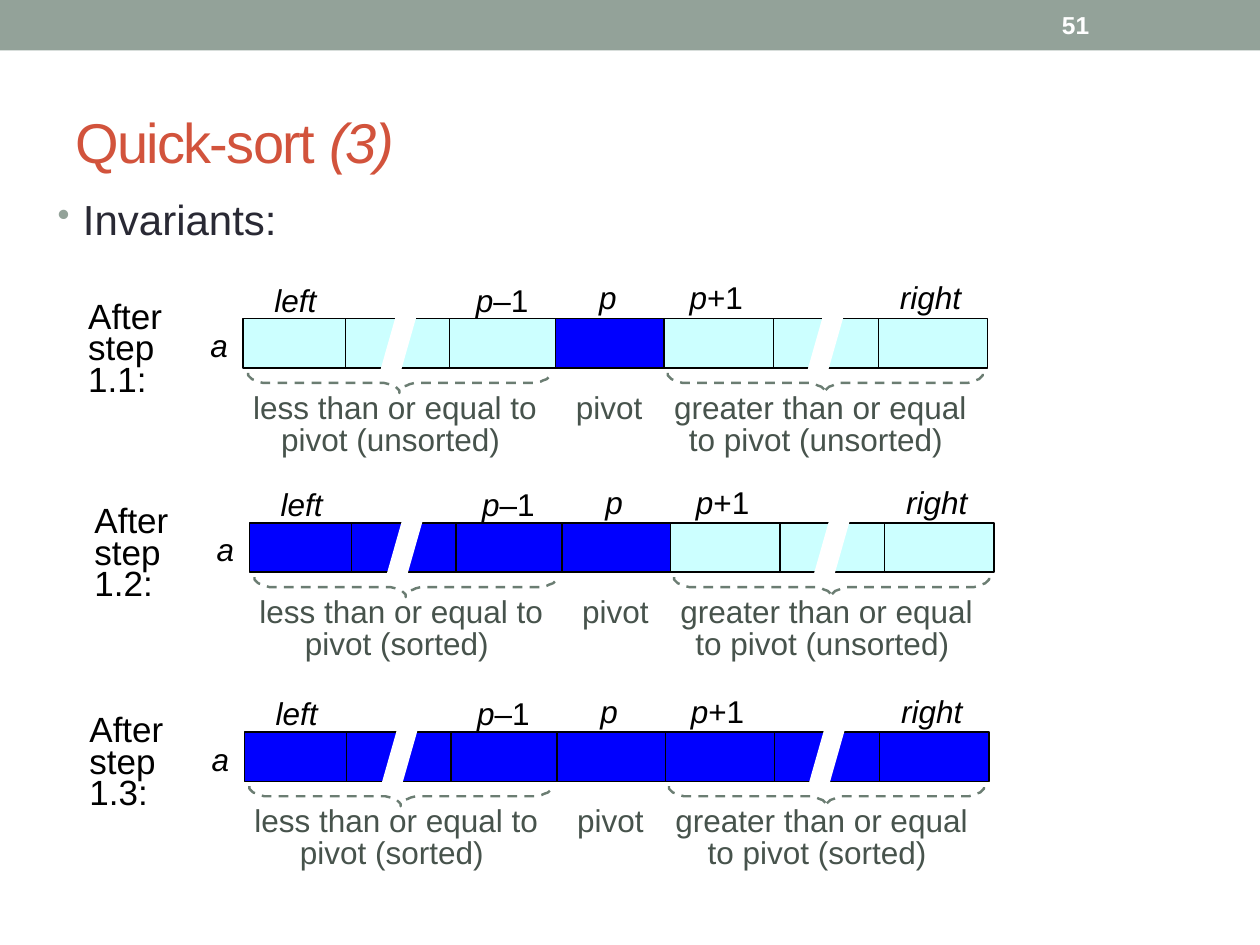
from dataclasses import dataclass

from lxml import etree
from pptx import Presentation
from pptx.dml.color import RGBColor
from pptx.enum.dml import MSO_LINE
from pptx.enum.shapes import MSO_SHAPE
from pptx.enum.text import MSO_ANCHOR, PP_ALIGN
from pptx.oxml.ns import qn
from pptx.util import Inches, Pt


@dataclass(frozen=True)
class Theme:
    font: str = "Arial"
    band: str = "93A299"
    title: str = "D2533C"
    body: str = "292934"
    ink: str = "000000"
    caption: str = "47534C"
    brace: str = "6B7D72"
    white: str = "FFFFFF"
    unsorted: str = "CCFFFF"
    sorted: str = "0000FF"
    title_size: int = 32
    body_size: int = 24
    step_size: int = 20
    label_size: int = 18
    number_size: int = 14
    leading: int = 18


T = Theme()

# Offsets from the top-left corner of an array, in inches
CELL_W, CELL_H = 0.87, 0.39
CELL_X = {"left": 0, "gap1": 0.81, "p-1": 1.64, "p": 2.48,
          "gap2": 4.2, "right": 5.04, "p+1": 3.34}
LABELS = [
    ("left", -0.3, [("left", True)]),
    ("p-1", -0.3, [("p", True), ("–1", False)]),
    ("p", -0.32, [("p", True)]),
    ("p+1", -0.32, [("p", True), ("+1", False)]),
    ("right", -0.32, [("right", True)]),
]
# One rounded corner of a brace; the rest follows by symmetry
CORNER = [(0, 0), (0, 0.02), (0.01, 0.03), (0.03, 0.05), (0.06, 0.06),
          (0.08, 0.07), (0.12, 0.08), (0.16, 0.08), (0.2, 0.08)]
BRACE_H = 0.16


def rgb(value):
    return RGBColor.from_string(value)


def add_text(s, runs, x, y, w, h, *, size=T.label_size, color=T.ink, bold=False,
             align=PP_ALIGN.LEFT, anchor=MSO_ANCHOR.TOP, margins=(0, 0),
             leading=None, wrap=True, spacing=None, bullet=None):
    """Place one paragraph; runs is a list of (text, italic)."""
    tf = s.shapes.add_textbox(Inches(x), Inches(y), Inches(w), Inches(h)).text_frame
    tf.word_wrap = wrap
    tf.vertical_anchor = anchor
    tf.margin_left = tf.margin_right = Inches(margins[0])
    tf.margin_top = tf.margin_bottom = Inches(margins[1])
    p = tf.paragraphs[0]
    p.alignment = align
    if leading:
        p.line_spacing = Pt(leading)
    if bullet:
        add_bullet(p, bullet)
    for text, italic in runs:
        r = p.add_run()
        r.text = text
        font = r.font
        font.name, font.size = T.font, Pt(size)
        font.bold, font.italic = bold, italic
        font.color.rgb = rgb(color)
        if spacing:
            r._r.get_or_add_rPr().set("spc", str(spacing))


def add_bullet(p, char):
    pPr = p._p.get_or_add_pPr()
    pPr.set("marL", str(Inches(0.2)))
    pPr.set("indent", str(Inches(-0.2)))
    color = etree.SubElement(pPr, qn("a:buClr"))
    etree.SubElement(color, qn("a:srgbClr")).set("val", T.band)
    etree.SubElement(pPr, qn("a:buSzPct")).set("val", "85000")
    etree.SubElement(pPr, qn("a:buChar")).set("char", char)


def add_rect(s, x, y, w, h, fill, outline=None):
    sp = s.shapes.add_shape(MSO_SHAPE.RECTANGLE, Inches(x), Inches(y),
                            Inches(w), Inches(h))
    sp.shadow.inherit = False
    sp.fill.solid()
    sp.fill.fore_color.rgb = rgb(fill)
    if outline:
        sp.line.color.rgb = rgb(outline)
        sp.line.width = Pt(0.75)
    else:
        sp.line.fill.background()


def add_outline(s, points, closed):
    pts = [(Inches(x), Inches(y)) for x, y in points]
    builder = s.shapes.build_freeform(*pts[0])
    builder.add_line_segments(pts[1:], close=closed)
    sp = builder.convert_to_shape()
    sp.shadow.inherit = False
    return sp


def add_slash(s, x, y, w=0.33, h=0.58):
    """White slanted cut that marks omitted cells."""
    sp = add_outline(s, [(x + w / 2, y), (x + w, y), (x + w / 2, y + h), (x, y + h)], True)
    sp.fill.solid()
    sp.fill.fore_color.rgb = rgb(T.white)
    sp.line.fill.background()


def add_brace(s, x, y, w):
    tip = [(w / 2 - dx, BRACE_H - dy) for dx, dy in reversed(CORNER)]
    half = CORNER + tip
    mirrored = [(w - dx, dy) for dx, dy in reversed(half[:-1])]
    sp = add_outline(s, [(x + dx, y + dy) for dx, dy in half + mirrored], False)
    sp.fill.background()
    sp.line.color.rgb = rgb(T.brace)
    sp.line.width = Pt(1.38)
    sp.line.dash_style = MSO_LINE.DASH


def add_header(s, number):
    add_rect(s, 0, 0, 10, 0.4, T.band)
    add_text(s, [(number, False)], 8.33, 0.02, 1.17, 0.36, size=T.number_size,
             color=T.white, bold=True, anchor=MSO_ANCHOR.MIDDLE, margins=(0.1, 0.05))


def add_heading(s):
    add_text(s, [("Quick-sort ", False), ("(3)", True)], 0.5, 0.58, 9, 1.08,
             size=T.title_size, color=T.title, anchor=MSO_ANCHOR.MIDDLE,
             margins=(0.1, 0.05), spacing=-100)
    add_text(s, [("Invariants:", False)], 0.36, 1.49, 8.33, 5.25,
             size=T.body_size, color=T.body, margins=(0.1, 0.05), bullet="•")


def add_state(s, x, y, step, sorted_cells, low, high):
    """Draw the array after one step, with its cells starting at (x, y)."""
    add_text(s, [(f"After step {step}:", False)], x - 1.23, y - 0.11, 0.67, 0.75,
             size=T.step_size, leading=T.leading)
    add_text(s, [("a", True)], x - 0.26, y + 0.06, 0.14, 0.3, wrap=False)

    # Cells, cuts and index labels
    for name, dx in CELL_X.items():
        fill = T.sorted if name in sorted_cells else T.unsorted
        add_rect(s, x + dx, y, CELL_W, CELL_H, fill, T.ink)
    for dx in (1.06, 4.45):
        add_slash(s, x + dx, y - 0.07)
    for name, dy, runs in LABELS:
        add_text(s, runs, x + CELL_X[name], y + dy, 0.83, 0.3, align=PP_ALIGN.CENTER)

    # Braces and captions
    for dx, w in ((0.04, 2.4), (3.37, 2.5)):
        add_brace(s, x + dx, y + 0.43, w)
    captions = [
        (f"less than or equal to pivot ({low}) ", 0.04, 2.33, 0.5, True),
        ("pivot", 2.64, 0.53, 0.25, False),
        (f"greater than or equal to pivot ({high}) ", 3.37, 2.42, 0.5, True),
    ]
    for text, dx, w, h, wrap in captions:
        add_text(s, [(text, False)], x + dx, y + 0.6, w, h, color=T.caption,
                 align=PP_ALIGN.CENTER, leading=T.leading, wrap=wrap)


def main():
    prs = Presentation()
    prs.slide_width, prs.slide_height = Inches(10), Inches(7.5)
    s = prs.slides.add_slide(prs.slide_layouts[6])
    add_header(s, "51")
    add_heading(s)
    lower = {"left", "gap1", "p-1", "p"}
    add_state(s, 1.93, 2.53, "1.1", {"p"}, "unsorted", "unsorted")
    add_state(s, 1.98, 4.15, "1.2", lower, "sorted", "unsorted")
    add_state(s, 1.94, 5.81, "1.3", set(CELL_X), "sorted", "sorted")
    prs.save("out.pptx")


if __name__ == "__main__":
    main()
